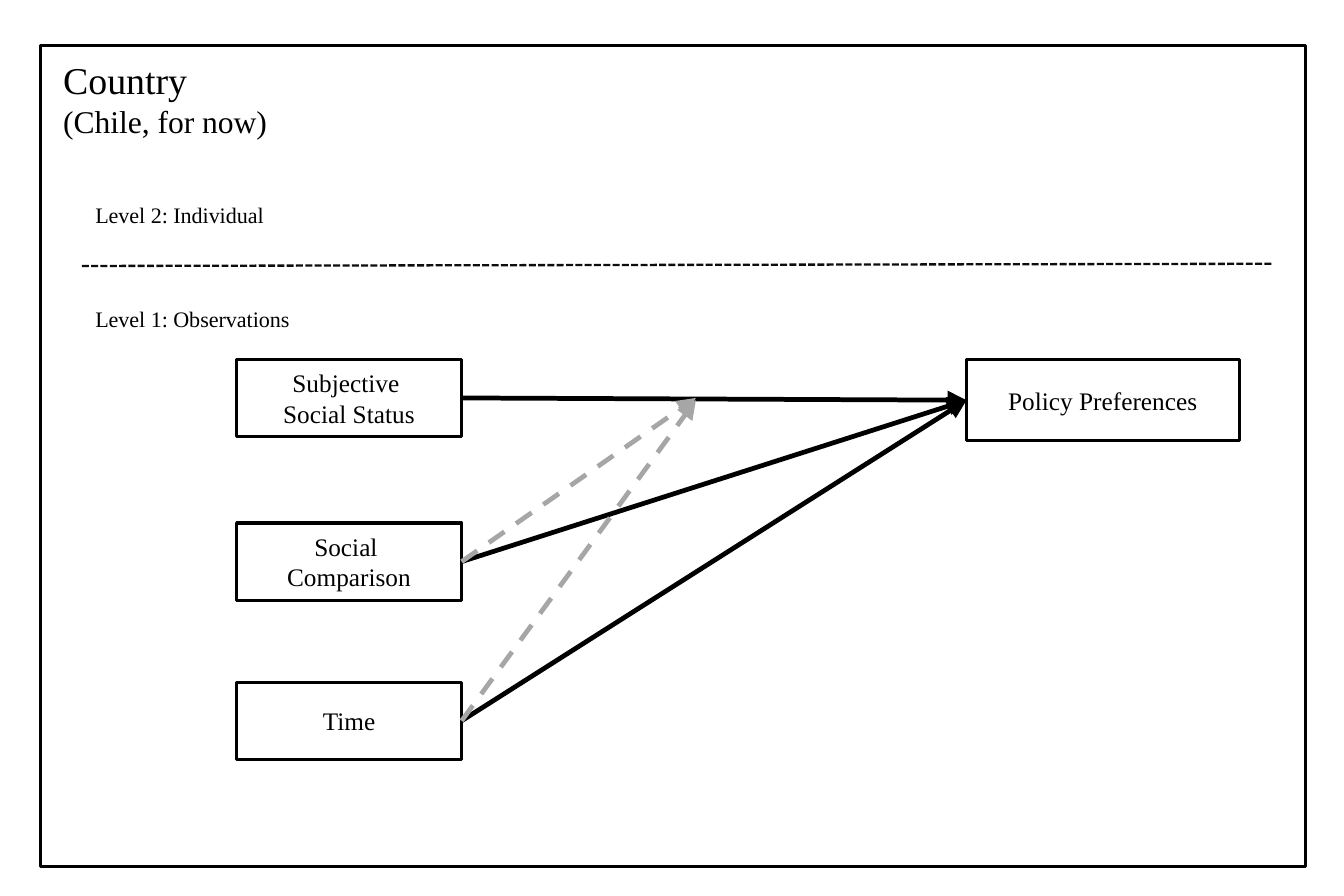
import dataclasses
from typing import Optional

import pptx
import pptx.dml.color
import pptx.enum.dml
import pptx.enum.shapes
import pptx.enum.text
import pptx.oxml
import pptx.oxml.ns
import pptx.shapes.base
import pptx.slide
import pptx.util

BLACK = pptx.dml.color.RGBColor(0x00, 0x00, 0x00)
NEAR_BLACK = pptx.dml.color.RGBColor(0x0D, 0x0D, 0x0D)
GRAY = pptx.dml.color.RGBColor(0xA6, 0xA6, 0xA6)
WHITE = pptx.dml.color.RGBColor(0xFF, 0xFF, 0xFF)

ALIGN = pptx.enum.text.PP_ALIGN
ANCHOR = pptx.enum.text.MSO_ANCHOR
DASH = pptx.enum.dml.MSO_LINE

SIDE_INSET = pptx.util.Inches(0.06)
EDGE_INSET = pptx.util.Inches(0.03)
TIGHT_FRAME = {
    "word_wrap": True,
    "vertical_anchor": ANCHOR.MIDDLE,
    "margin_left": SIDE_INSET,
    "margin_right": SIDE_INSET,
    "margin_top": EDGE_INSET,
    "margin_bottom": EDGE_INSET,
}
COUNTRY_FRAME = {"word_wrap": True, "vertical_anchor": ANCHOR.TOP}


@dataclasses.dataclass(frozen=True)
class Box:
    """A text block, outlined or plain, with one size per paragraph."""
    left: float
    top: float
    width: float
    height: float
    lines: tuple[str, ...]
    sizes: tuple[float, ...]
    align: ALIGN = ALIGN.CENTER
    outlined: bool = True
    frame: dict = dataclasses.field(default_factory=lambda: TIGHT_FRAME)

    @property
    def left_port(self) -> tuple[float, float]:
        """Middle of the left side."""
        return self.left, self.top + self.height / 2

    @property
    def right_port(self) -> tuple[float, float]:
        """Middle of the right side."""
        return self.left + self.width, self.top + self.height / 2


@dataclasses.dataclass(frozen=True)
class Line:
    """A straight line, with an arrowhead at its end if wanted."""
    start: tuple[float, float]
    end: tuple[float, float]
    color: pptx.dml.color.RGBColor = BLACK
    width: float = 1.5
    dash: Optional[DASH] = None
    arrow: bool = True


def set_values(target: object, values: dict) -> None:
    """Set each named attribute of the target."""
    for name, value in values.items():
        setattr(target, name, value)


def write_text(s: pptx.shapes.base.BaseShape, box: Box) -> None:
    """Fill the shape with the paragraphs of the box."""
    tf = s.text_frame
    set_values(tf, box.frame)
    for i, (text, size) in enumerate(zip(box.lines, box.sizes)):
        p = tf.add_paragraph() if i else tf.paragraphs[0]
        p.alignment = box.align
        r = p.add_run()
        r.text = text
        set_values(r.font, {"name": "Times New Roman", "size": pptx.util.Pt(size)})
        r.font.color.rgb = BLACK


def draw_box(slide: pptx.slide.Slide, box: Box) -> None:
    """Draw a box or a plain label."""
    place = [pptx.util.Inches(v) for v in (box.left, box.top, box.width, box.height)]
    if box.outlined:
        s = slide.shapes.add_shape(pptx.enum.shapes.MSO_SHAPE.RECTANGLE, *place)
        s.shadow.inherit = False
        s.fill.solid()
        s.fill.fore_color.rgb = WHITE
        s.line.color.rgb = BLACK
        s.line.width = pptx.util.Pt(1)
    else:
        s = slide.shapes.add_textbox(*place)
    write_text(s, box)


def draw_line(slide: pptx.slide.Slide, line: Line) -> None:
    """Draw a line without shadow."""
    ends = [pptx.util.Inches(v) for v in (*line.start, *line.end)]
    s = slide.shapes.add_connector(pptx.enum.shapes.MSO_CONNECTOR.STRAIGHT, *ends)
    s.line.color.rgb = line.color
    set_values(s.line, {"width": pptx.util.Pt(line.width), "dash_style": line.dash})
    sub_element = pptx.oxml.ns.qn
    if line.arrow:
        ln = s.line._get_or_add_ln()
        ln.append(ln.makeelement(sub_element("a:tailEnd"), {"type": "triangle"}))
    sp_pr = s._element.spPr
    sp_pr.append(sp_pr.makeelement(sub_element("a:effectLst"), {}))


def predictor(top: float, *lines: str) -> Box:
    """Make a box of the left column."""
    return Box(1.04, top, 0.99, 0.34, lines, (8,) * len(lines))


def level(top: float, height: float, text: str) -> Box:
    """Make a level label."""
    return Box(0.36, top, 1.17, height, (text,), (7,), ALIGN.LEFT, outlined=False)


country = Box(0.18, 0.2, 5.56, 3.61, ("Country ", "(Chile, for now)"), (12, 10),
              ALIGN.LEFT, frame=COUNTRY_FRAME)
status = predictor(1.58, "Subjective ", "Social Status")
comparison = predictor(2.3, "Social ", "Comparison")
time = predictor(3, "Time")
preferences = Box(4.25, 1.58, 1.2, 0.36, ("Policy Preferences",), (8,))
levels = [level(0.86, 0.17, "Level 2: Individual"),
          level(1.3, 0.2, "Level 1: Observations")]

lines = [
    Line((0.36, 1.17), (5.6, 1.16), NEAR_BLACK, 0.75, DASH.SQUARE_DOT, arrow=False),
    Line(status.right_port, preferences.left_port),
]
for moderator, effect_y in ((comparison, 1.75), (time, 1.76)):
    lines.append(Line(moderator.right_port, preferences.left_port))
    lines.append(Line(moderator.right_port, (3.06, effect_y), GRAY, dash=DASH.DASH))

prs = pptx.Presentation()
prs.slide_width = pptx.util.Inches(5.91)
prs.slide_height = pptx.util.Inches(3.94)
slide = prs.slides.add_slide(prs.slide_layouts[6])
for box in (country, status, comparison, time, preferences, *levels):
    draw_box(slide, box)
for line in lines:
    draw_line(slide, line)
prs.save("out.pptx")
